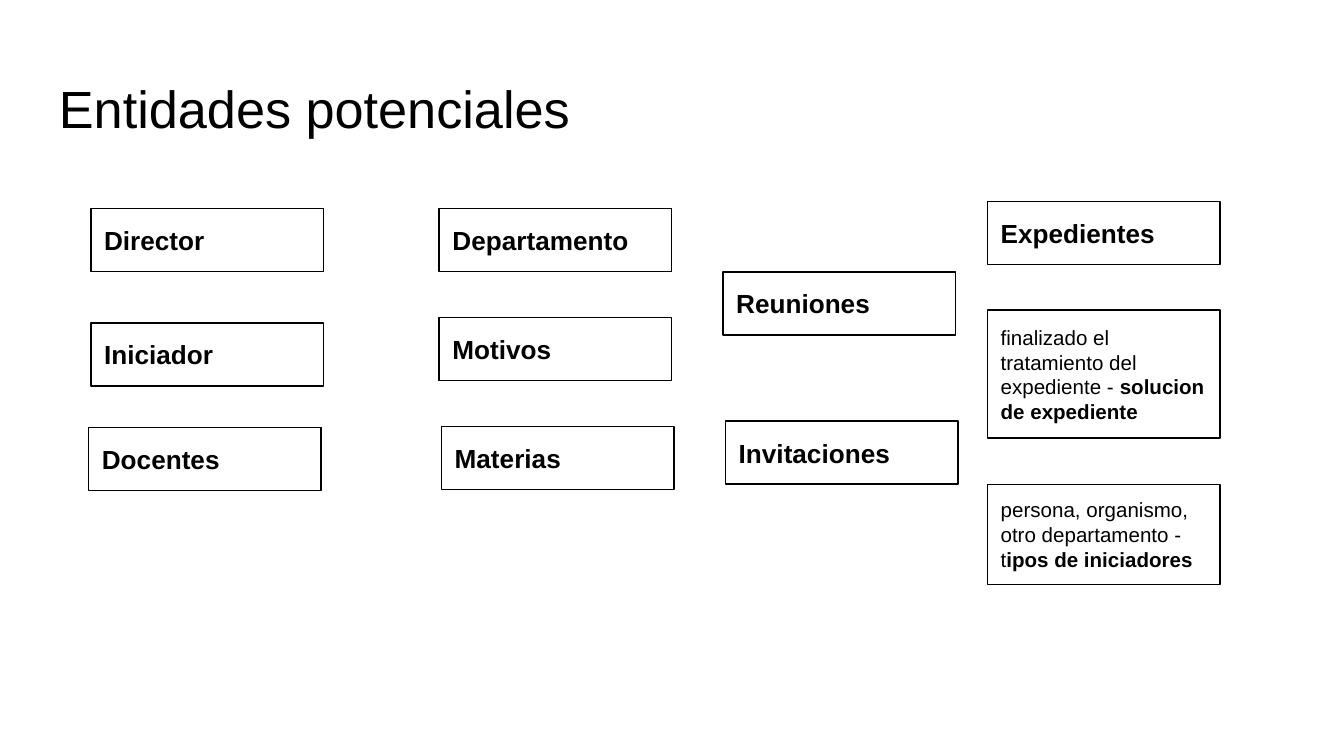
from dataclasses import dataclass

from pptx import Presentation
from pptx.dml.color import RGBColor
from pptx.enum.shapes import MSO_SHAPE
from pptx.enum.text import MSO_ANCHOR, PP_ALIGN
from pptx.util import Pt

COLORS = {"ink": "000000"}
FONT = "Arial"
INSET = 7.2
BOX_W, BOX_H = 124.6, 33.8


@dataclass
class Entity:
    left: float
    top: float
    name: str  # bold part
    lead: str = ""  # plain text before the name
    height: float = BOX_H
    size: float = 14


ENTITIES = [
    # People
    Entity(48.7, 111.8, "Director"),
    Entity(48.7, 173, "Iniciador"),
    Entity(47.5, 229.2, "Docentes"),
    # Department
    Entity(235.3, 111.8, "Departamento"),
    Entity(235.3, 170.2, "Motivos"),
    Entity(236.5, 228.6, "Materias"),
    # Meetings
    Entity(387.3, 145.7, "Reuniones"),
    Entity(388.7, 225.6, "Invitaciones"),
    # Files
    Entity(529, 108, "Expedientes"),
    Entity(529, 166.2, "solucion de expediente",
           "finalizado el tratamiento del expediente - ", 68.6, 11),
    Entity(529, 259.4, "ipos de iniciadores",
           "persona, organismo, otro departamento - t", 53.6, 11),
]


def write(s, size: float, parts: list[tuple[str, bool]]) -> None:
    """Fill a shape with one left-aligned paragraph of (text, bold) parts."""
    tf = s.text_frame
    tf.word_wrap = True
    tf.vertical_anchor = MSO_ANCHOR.MIDDLE
    tf.margin_left = tf.margin_right = Pt(INSET)
    tf.margin_top = tf.margin_bottom = Pt(INSET)
    p = tf.paragraphs[0]
    p.alignment = PP_ALIGN.LEFT
    p.font.name = FONT
    p.font.size = Pt(size)
    p.font.color.rgb = RGBColor.from_string(COLORS["ink"])
    for text, bold in parts:
        r = p.add_run()
        r.text = text
        r.font.bold = bold


def draw_entity(sp, e: Entity) -> None:
    s = sp.add_shape(MSO_SHAPE.RECTANGLE, Pt(e.left), Pt(e.top), Pt(BOX_W), Pt(e.height))
    s.shadow.inherit = False
    s.fill.background()
    s.line.color.rgb = RGBColor.from_string(COLORS["ink"])
    s.line.width = Pt(0.75)
    parts = [(e.lead, False)] if e.lead else []
    write(s, e.size, parts + [(e.name, True)])


def main() -> None:
    prs = Presentation()
    prs.slide_width, prs.slide_height = Pt(720), Pt(405)
    sp = prs.slides.add_slide(prs.slide_layouts[6]).shapes

    # Title
    title = sp.add_textbox(Pt(24.5), Pt(35), Pt(671), Pt(45.1))
    write(title, 28, [("Entidades potenciales", False)])

    # Entity boxes
    for e in ENTITIES:
        draw_entity(sp, e)

    prs.save("out.pptx")


if __name__ == "__main__":
    main()
